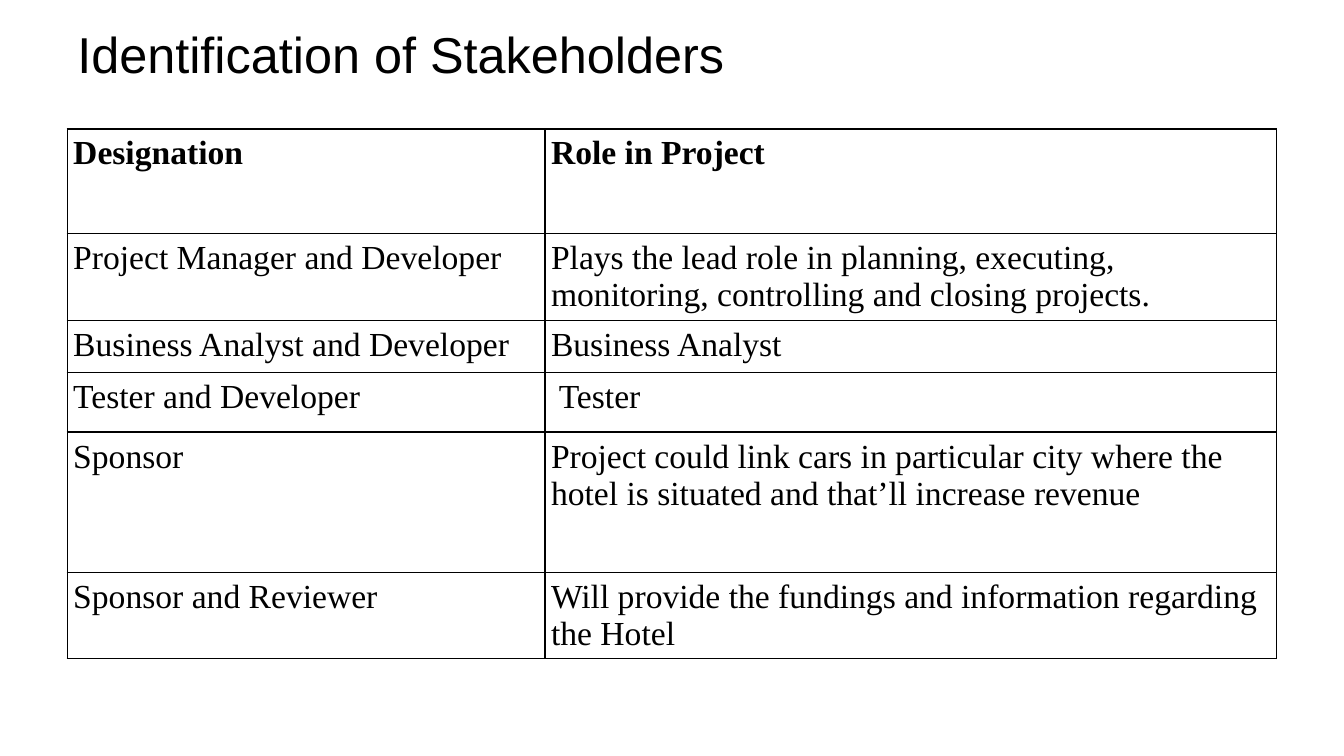
from dataclasses import dataclass

from lxml import etree
from pptx import Presentation
from pptx import util as u
from pptx.dml import color
from pptx.enum import text
from pptx.oxml import ns


@dataclass(frozen=True)
class Theme:
    ink: str = "000000"
    paper: str = "FFFFFF"
    title_font: str = "Arial"
    table_font: str = "Times New Roman"
    title_size: int = 36
    table_size: int = 24
    border: int = 1
    inset: float = 0.06


THEME = Theme()
WIDTH, HEIGHT = 13.33, 7.5
MARGIN = WIDTH * 0.05
CONTENT_WIDTH = WIDTH - 2 * MARGIN
TITLE_BOX = (MARGIN, 0.21, CONTENT_WIDTH, 0.64)
TABLE_BOX = (MARGIN, 1.28, CONTENT_WIDTH, 5.24)
COLUMN_SHARES = (0.395, 0.605)
ROW_HEIGHTS = (1.04, 0.85, 0.52, 0.59, 1.39, 0.85)
STAKEHOLDERS = (
    ("Designation", "Role in Project"),
    ("Project Manager and Developer",
     "Plays the lead role in planning, executing, monitoring, controlling and closing projects."),
    ("Business Analyst and Developer", "Business Analyst"),
    ("Tester and Developer", " Tester"),
    ("Sponsor",
     "Project could link cars in particular city where the hotel is situated and that’ll increase revenue"),
    ("Sponsor and Reviewer", "Will provide the fundings and information regarding the Hotel"),
)


def apply(target, values):
    for name, value in values.items():
        setattr(target, name, value)


def format_font(paragraph, name, size, bold=False):
    apply(paragraph.font, {"name": name, "size": u.Pt(size), "bold": bold})
    paragraph.font.color.rgb = color.RGBColor.from_string(THEME.ink)


def add_borders(cell):
    properties = cell._tc.get_or_add_tcPr()
    for index, side in enumerate(("lnL", "lnR", "lnT", "lnB")):
        line = etree.Element(ns.qn(f"a:{side}"), w=str(u.Pt(THEME.border)))
        fill = etree.SubElement(line, ns.qn("a:solidFill"))
        etree.SubElement(fill, ns.qn("a:srgbClr"), val=THEME.ink)
        properties.insert(index, line)


def fill_title(title, box, wording):
    left, top, width, height = map(u.Inches, box)
    apply(title, {"left": left, "top": top, "width": width, "height": height})
    apply(title.text_frame, {
        "text": wording,
        "word_wrap": True,
        "auto_size": text.MSO_AUTO_SIZE.NONE,
        "vertical_anchor": text.MSO_ANCHOR.MIDDLE,
    })
    paragraph = title.text_frame.paragraphs[0]
    paragraph.alignment = text.PP_ALIGN.LEFT
    format_font(paragraph, THEME.title_font, THEME.title_size)


def fill_cell(cell, wording, bold):
    inset = u.Inches(THEME.inset)
    apply(cell, {
        "text": wording,
        "vertical_anchor": text.MSO_ANCHOR.TOP,
        **{f"margin_{side}": inset for side in ("left", "right", "top", "bottom")},
    })
    format_font(cell.text_frame.paragraphs[0], THEME.table_font, THEME.table_size, bold)
    cell.fill.solid()
    cell.fill.fore_color.rgb = color.RGBColor.from_string(THEME.paper)
    add_borders(cell)


def add_stakeholder_table(slide, box, rows):
    frame = slide.shapes.add_table(len(rows), len(COLUMN_SHARES), *map(u.Inches, box))
    table = frame.table
    apply(table, {"first_row": False, "horz_banding": False})
    for column, share in zip(table.columns, COLUMN_SHARES):
        column.width = u.Inches(box[2] * share)
    for row, height in zip(table.rows, ROW_HEIGHTS):
        row.height = u.Inches(height)
    for row_index, row in enumerate(rows):
        for column_index, wording in enumerate(row):
            fill_cell(table.cell(row_index, column_index), wording, row_index == 0)


def main():
    presentation = Presentation()
    apply(presentation, {"slide_width": u.Inches(WIDTH), "slide_height": u.Inches(HEIGHT)})
    slide = presentation.slides.add_slide(presentation.slide_layouts.get_by_name("Title Only"))
    fill_title(slide.shapes.title, TITLE_BOX, "Identification of Stakeholders")
    add_stakeholder_table(slide, TABLE_BOX, STAKEHOLDERS)
    presentation.save("out.pptx")


if __name__ == "__main__":
    main()
